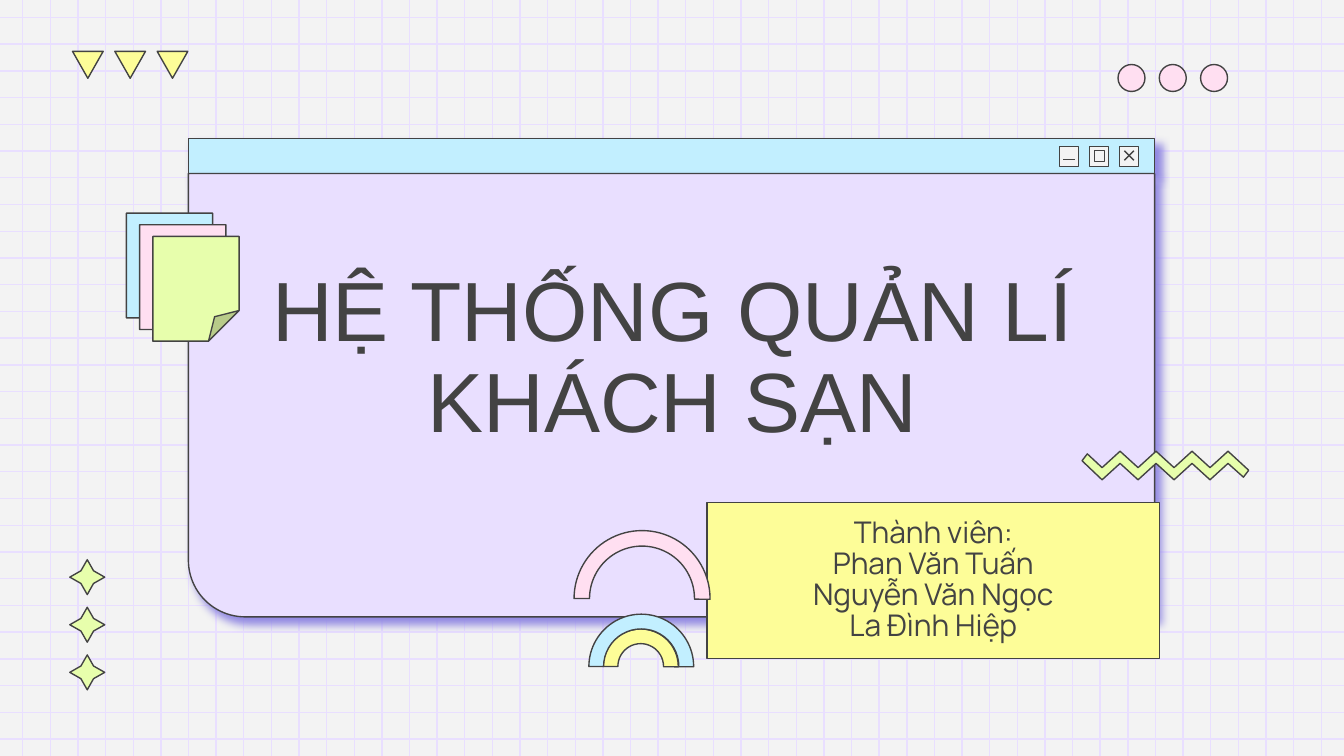
"""Build the opening slide of a hotel management presentation."""
import dataclasses
import typing

import lxml.etree
import pptx
import pptx.dml.color
import pptx.enum.shapes
import pptx.enum.text
import pptx.oxml.ns
import pptx.util

Cm = pptx.util.Cm
Pt = pptx.util.Pt
RGBColor = pptx.dml.color.RGBColor
Preset = pptx.enum.shapes.MSO_SHAPE
qn = pptx.oxml.ns.qn

PAPER = RGBColor(0xF3, 0xF3, 0xF3)
INK = RGBColor(0x43, 0x43, 0x43)
LILAC = RGBColor(0xE9, 0xDF, 0xFF)
VIOLET = RGBColor(0x91, 0x88, 0xE2)
SKY = RGBColor(0xC2, 0xEF, 0xFF)
PINK = RGBColor(0xFF, 0xDF, 0xF1)
YELLOW = RGBColor(0xFD, 0xFD, 0x98)
LIME = RGBColor(0xE7, 0xFE, 0xAC)


@dataclasses.dataclass(frozen=True)
class Figure:
    """A preset shape, repeated at a fixed step; lengths in centimetres."""
    preset: typing.Any
    left: float
    top: float
    width: float
    height: float
    fills: tuple[RGBColor, ...]
    step: tuple[float, float] = (0, 0)
    adjustments: tuple[float, ...] = ()
    rotation: float = 0
    shadow: bool = False


@dataclasses.dataclass(frozen=True)
class Caption:
    """A centred text block; lengths in centimetres."""
    lines: tuple[str, ...]
    left: float
    top: float
    width: float
    height: float
    font: str
    size: float
    spacing: float
    fill: RGBColor | None = None


WINDOW = (
    Figure(Preset.RECTANGLE, 3.56, 2.62, 18.26, 0.66, (SKY,), shadow=True),
    Figure(Preset.ROUND_1_RECTANGLE, 3.56, 3.28, 18.26, 8.38, (LILAC,),
           adjustments=(0.128,), rotation=180, shadow=True),
    Figure(Preset.RECTANGLE, 20.02, 2.77, 0.36, 0.38, (PAPER,) * 3, (0.57, 0)),
    Figure(Preset.RECTANGLE, 20.68, 2.85, 0.2, 0.2, (PAPER,)),
)
BUTTON_MARKS = (
    (20.09, 3.02, 20.32, 3.02),
    (21.25, 2.85, 21.43, 3.03),
    (21.43, 2.85, 21.25, 3.03),
)
CAPTIONS = (
    Caption(("HỆ THỐNG QUẢN LÍ KHÁCH SẠN",), 4.65, 4.04, 16.13, 5.51, "Arial", 45, 0.9),
    Caption(("Thành viên:", "Phan Văn Tuấn", "Nguyễn Văn Ngọc", "La Đình Hiệp"),
            13.36, 9.5, 8.56, 2.95, "Manrope", 16, 0.87, YELLOW),
)
DECORATIONS = (
    Figure(Preset.STAR_4_POINT, 1.32, 10.58, 0.66, 0.66, (LIME,) * 3, (0, 0.9), (0.255,)),
    Figure(Preset.OVAL, 21.13, 1.22, 0.51, 0.51, (PINK,) * 3, (0.78, 0)),
    Figure(Preset.ISOSCELES_TRIANGLE, 1.37, 0.97, 0.58, 0.51, (YELLOW,) * 3, (0.8, 0),
           rotation=180),
    Figure(Preset.FOLDED_CORNER, 2.39, 4.03, 1.63, 1.98, (SKY, PINK, LIME), (0.25, 0.22),
           (0.355,)),
    Figure(Preset.BLOCK_ARC, 11.4, 11.89, 1.42, 1.42, (YELLOW,),
           adjustments=(108, 0.307, 0.196)),
    Figure(Preset.BLOCK_ARC, 11.13, 11.61, 1.98, 1.98, (SKY,),
           adjustments=(108, 0.172, 0.141)),
    Figure(Preset.BLOCK_ARC, 10.85, 10.03, 2.57, 2.57, (PINK,),
           adjustments=(108, 0.384, 0.114)),
)


def apply(target: typing.Any, values: dict[str, typing.Any]) -> None:
    """Set each named attribute on the target."""
    for name, value in values.items():
        setattr(target, name, value)


def paint(shape: typing.Any, fill: RGBColor) -> None:
    """Give a shape a flat fill and a thin dark outline."""
    shape.fill.solid()
    shape.fill.fore_color.rgb = fill
    shape.line.color.rgb = INK
    shape.line.width = Pt(0.75)


def adjust(shape: typing.Any, values: tuple[float, ...]) -> None:
    """Write the adjustment guides of a preset shape."""
    guides = shape._element.spPr.find(qn("a:prstGeom")).find(qn("a:avLst"))
    for guide in list(guides):
        guides.remove(guide)
    for number, value in enumerate(values, 1):
        name = "adj" if len(values) == 1 else f"adj{number}"
        lxml.etree.SubElement(guides, qn("a:gd"), name=name,
                              fmla=f"val {round(value * 100000)}")


def cast_shadow(shape: typing.Any) -> None:
    """Add the violet shadow below and to the right."""
    effects = shape._element.spPr.find(qn("a:effectLst"))
    outer = lxml.etree.SubElement(
        effects, qn("a:outerShdw"), blurRad=str(Pt(4.5)), dist=str(Pt(4.5)),
        dir=str(48 * 60000), algn="bl", rotWithShape="0")
    lxml.etree.SubElement(outer, qn("a:srgbClr"), val=str(VIOLET))


def draw_line(page: typing.Any, ends: tuple[float, ...], color: RGBColor) -> None:
    """Draw a thin straight line between two points."""
    line = page.shapes.add_connector(
        pptx.enum.shapes.MSO_CONNECTOR.STRAIGHT, *map(Cm, ends))
    line.line.color.rgb = color
    line.line.width = Pt(0.75)
    lxml.etree.SubElement(line._element.spPr, qn("a:effectLst"))


def draw_grid(page: typing.Any) -> None:
    """Rule the background like squared paper."""
    for row in range(28):
        y = 0.33 + row * 13.64 / 27
        draw_line(page, (0, y, 25.4, y), LILAC)
    for column in range(48):
        x = 0.43 + column * 24.54 / 47
        draw_line(page, (x, 0, x, 14.29), LILAC)


def draw_figure(page: typing.Any, figure: Figure) -> None:
    """Draw every repeat of a figure."""
    for index, fill in enumerate(figure.fills):
        shape = page.shapes.add_shape(
            figure.preset,
            Cm(figure.left + index * figure.step[0]),
            Cm(figure.top + index * figure.step[1]),
            Cm(figure.width), Cm(figure.height))
        shape.rotation = figure.rotation
        if figure.adjustments:
            adjust(shape, figure.adjustments)
        paint(shape, fill)
        shape.shadow.inherit = False
        if figure.shadow:
            cast_shadow(shape)


def draw_caption(page: typing.Any, caption: Caption) -> None:
    """Draw a text block, one paragraph for each line."""
    box = page.shapes.add_textbox(
        Cm(caption.left), Cm(caption.top), Cm(caption.width), Cm(caption.height))
    if caption.fill is not None:
        paint(box, caption.fill)
    frame = box.text_frame
    margins = ("margin_left", "margin_top", "margin_right", "margin_bottom")
    apply(frame, {"word_wrap": True,
                  "vertical_anchor": pptx.enum.text.MSO_ANCHOR.MIDDLE,
                  **dict.fromkeys(margins, Cm(0.25))})
    for index, text in enumerate(caption.lines):
        para = frame.add_paragraph() if index else frame.paragraphs[0]
        apply(para, {"alignment": pptx.enum.text.PP_ALIGN.CENTER,
                     "line_spacing": caption.spacing})
        span = para.add_run()
        span.text = text
        apply(span.font, {"name": caption.font, "size": Pt(caption.size)})
        span.font.color.rgb = INK


def draw_zigzag(page: typing.Any) -> None:
    """Draw the lime zigzag ribbon."""
    upper = [(20.83 + 0.34 * turn, 8.53 if turn % 2 else 8.84) for turn in range(8)]
    lower = [(x, y + 0.23) for x, y in upper]
    outline = [(20.55, 8.58), *upper, (23.6, 8.89), (23.5, 9.02), *reversed(lower),
               (20.45, 8.71)]
    points = [(Cm(x), Cm(y)) for x, y in outline]
    builder = page.shapes.build_freeform(*points[0])
    builder.add_line_segments(points[1:], close=True)
    ribbon = builder.convert_to_shape()
    paint(ribbon, LIME)
    ribbon.shadow.inherit = False


def main() -> None:
    """Assemble and save the slide."""
    deck = pptx.Presentation()
    apply(deck, {"slide_width": Cm(25.4), "slide_height": Cm(14.29)})
    page = deck.slides.add_slide(deck.slide_layouts[6])
    page.background.fill.solid()
    page.background.fill.fore_color.rgb = PAPER
    draw_grid(page)
    for figure in WINDOW:
        draw_figure(page, figure)
    for ends in BUTTON_MARKS:
        draw_line(page, ends, INK)
    for caption in CAPTIONS:
        draw_caption(page, caption)
    for figure in DECORATIONS:
        draw_figure(page, figure)
    draw_zigzag(page)
    deck.save("out.pptx")


main()
